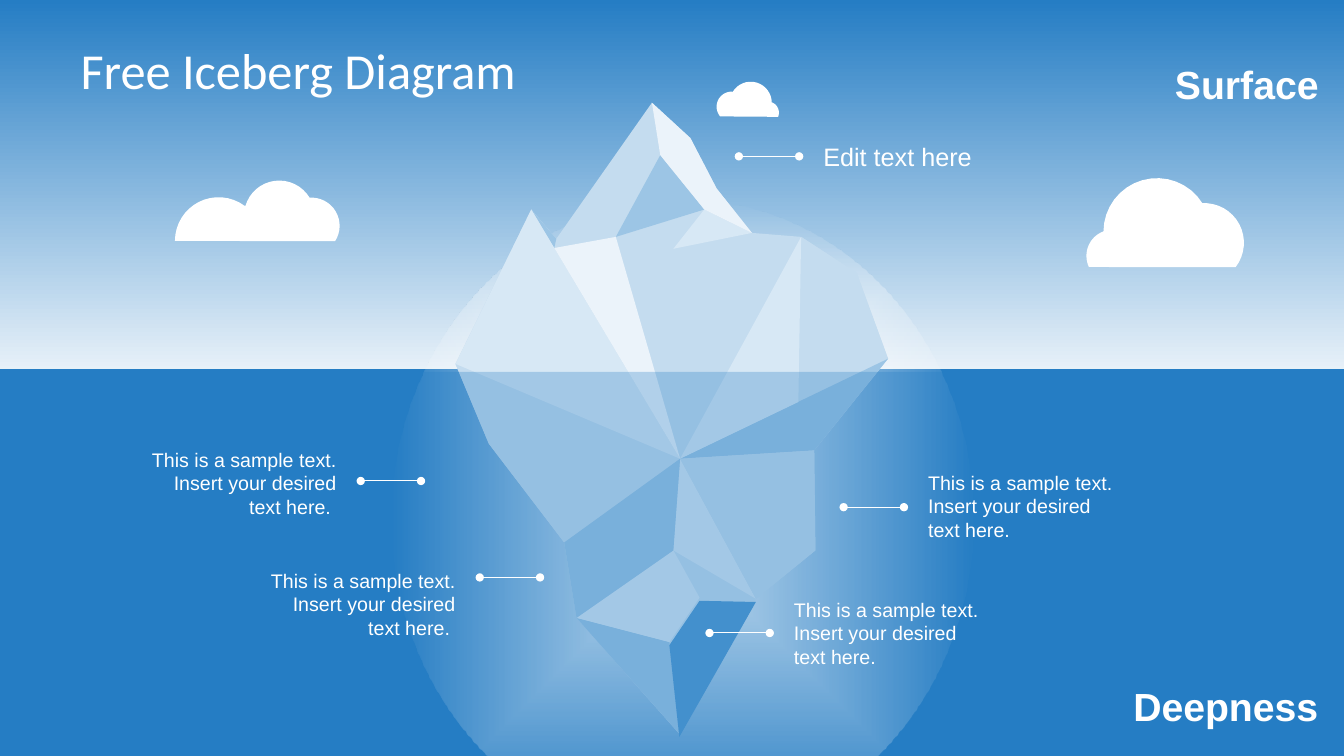
from dataclasses import dataclass
from math import cos, radians, sin

from pptx import Presentation
from pptx.dml.color import RGBColor
from pptx.enum.shapes import MSO_CONNECTOR as Link, MSO_SHAPE as Form
from pptx.enum.text import MSO_ANCHOR as Anchor, PP_ALIGN as Align
from pptx.oxml.ns import qn
from pptx.util import Cm, Pt
from lxml.etree import SubElement

WIDE, HIGH = 33.87, 19.05
WHITE, SEA = "FFFFFF", "257DC4"
MIST, PALE, SNOW, ICE, DEEP = "C4DCEF", "D7E8F5", "EBF3FA", "9CC5E5", "5098D1"
SAMPLE = "This is a sample text. Insert your desired text here."


@dataclass
class Arc:
    x: float
    y: float
    r: float
    start: float
    end: float


@dataclass
class Facet:
    color: str
    marks: str
    drop: float = 0


@dataclass
class Label:
    text: str
    x: float
    y: float
    w: float = 5.38
    h: float = 2.06
    size: int = 14
    right: bool = False
    bold: bool = False
    wrap: bool = True


CLOUDS = [
    [Arc(28.04, 6.45, 0.66, 205, 110), Arc(29.16, 5.84, 1.35, 180, 32),
     Arc(30.35, 6.12, 1, 94, -38)],
    [Arc(18.44, 2.69, 0.38, 220, 90), Arc(18.92, 2.59, 0.53, 149, 0),
     Arc(19.35, 2.84, 0.28, 68, -22)],
    [Arc(5.51, 6.07, 1.1, 180, 54), Arc(7.04, 5.44, 0.89, 164, 31),
     Arc(7.85, 5.69, 0.71, 94, -33)],
]

# Corners of the iceberg, in cm; the facets share them.
MARKS = {
    "peak": (16.43, 2.59), "crest": (17.4, 3.48), "ridge": (18.06, 4.75),
    "saddle": (18.95, 5.87), "shoulder": (20.19, 5.97), "slope": (21.59, 6.88),
    "east": (22.38, 9.04), "notch": (20.52, 11.35), "elbow": (20.55, 13.87),
    "heel": (19.05, 15.09), "tip": (17.12, 18.49), "hip": (14.53, 15.57),
    "waist": (14.22, 13.67), "flank": (12.32, 11.18), "west": (11.48, 9.17),
    "horn": (13.39, 5.28), "gap": (14.02, 6.02), "face": (20.12, 10.13),
    "brow": (17.75, 5.28), "nook": (16.97, 6.27), "nose": (16.64, 3.91),
    "neck": (15.52, 5.97), "dip": (13.97, 6.25), "core": (17.14, 11.56),
    "knee": (16.97, 13.87), "keel": (16.87, 16.18), "spur": (17.63, 15.06),
}

FACETS = [
    Facet(MIST, "peak crest ridge saddle shoulder slope east notch elbow "
                "heel tip hip waist flank west horn gap"),
    Facet(MIST, "shoulder slope east face"),
    Facet(PALE, "brow saddle nook"),
    Facet(ICE, "nose brow neck"),
    Facet(SNOW, "peak crest ridge saddle brow nose"),
    Facet(ICE, "horn gap dip"),
    Facet(ICE, "east notch core"),
    Facet(MIST, "west core waist flank"),
    Facet(ICE, "hip keel tip"),
    Facet(PALE, "core heel knee"),
    Facet(DEEP, "spur heel tip keel", 0.08),
    Facet(PALE, "horn core west"),
    Facet(MIST, "notch elbow heel core"),
    Facet(SNOW, "neck core dip"),
    Facet(PALE, "shoulder face core"),
    Facet(PALE, "knee spur keel hip"),
    Facet(ICE, "core knee hip waist"),
]

LABELS = [
    Label("Edit text here", 20.5, 3.43, 7.62, 1.02, 18),
    Label(SAMPLE, 19.76, 14.94),
    Label(SAMPLE + " ", 3.35, 11.15, right=True),
    Label(SAMPLE + " ", 6.35, 14.2, right=True),
    Label(SAMPLE, 23.14, 11.73),
    Label("Surface", 29.31, 1.4, 4.17, 1.45, 28, True, True, False),
    Label("Deepness", 28.24, 17.07, 5.23, 1.45, 28, True, True, False),
]

LINES = [(18.62, 3.94), (17.88, 15.95), (9.09, 12.12), (12.09, 14.55), (21.26, 12.78)]
REACH = 1.52


def rgb(code: str) -> RGBColor:
    return RGBColor.from_string(code)


def plain(shape, color: str) -> None:
    shape.shadow.inherit = False
    shape.line.fill.background()
    shape.fill.solid()
    shape.fill.fore_color.rgb = rgb(color)


def fade(shape, alpha: int) -> None:
    """Set the opacity, in percent, of the last colour in the fill."""
    tint = shape._element.xpath("./p:spPr//a:srgbClr")[-1]
    SubElement(tint, qn("a:alpha")).set("val", str(alpha * 1000))


def blend(fill, first: str, last: str, stop: float = 1) -> None:
    fill.gradient()
    fill.gradient_angle = 270
    for mark, color, place in zip(fill.gradient_stops, (first, last), (0, stop)):
        mark.color.rgb = rgb(color)
        mark.position = place


def block(slide, form: Form, x: float, y: float, w: float, h: float):
    shape = slide.shapes.add_shape(form, Cm(x), Cm(y), Cm(w), Cm(h))
    plain(shape, SEA)
    return shape


def glow(slide) -> None:
    halo = block(slide, Form.OVAL, 9.86, 5.03, 14.68, 16.08)
    blend(halo.fill, WHITE, WHITE)
    fade(halo, 0)
    lin = halo._element.xpath("./p:spPr/a:gradFill/a:lin")[0]
    grad = lin.getparent()
    grad.remove(lin)
    way = SubElement(grad, qn("a:path"))
    way.set("path", "shape")
    rect = SubElement(way, qn("a:fillToRect"))
    for side in "ltrb":
        rect.set(side, "50000")


def outline(slide, points: list, color: str) -> None:
    spots = [(Cm(x), Cm(y)) for x, y in points]
    path = slide.shapes.build_freeform(*spots[0])
    path.add_line_segments(spots[1:], close=True)
    plain(path.convert_to_shape(), color)


def bend(arc: Arc, steps: int = 16) -> list:
    """Give points along an arc, clockwise, with angles in degrees."""
    turns = [radians(arc.start + (arc.end - arc.start) * i / steps) for i in range(steps + 1)]
    return [(arc.x + arc.r * cos(t), arc.y - arc.r * sin(t)) for t in turns]


def style(para, size: int, font: str, bold: bool = False) -> None:
    for run in para.runs:
        run.font.size = Pt(size)
        run.font.name = font
        run.font.bold = bold
        run.font.color.rgb = rgb(WHITE)


def write(slide, label: Label) -> None:
    box = slide.shapes.add_textbox(Cm(label.x), Cm(label.y), Cm(label.w), Cm(label.h))
    frame = box.text_frame
    frame.word_wrap = label.wrap
    frame.text = label.text
    para = frame.paragraphs[0]
    para.alignment = Align.RIGHT if label.right else Align.LEFT
    style(para, label.size, "Arial", label.bold)


def pointer(slide, x: float, y: float) -> None:
    line = slide.shapes.add_connector(Link.STRAIGHT, Cm(x), Cm(y), Cm(x + REACH), Cm(y))
    line.line.color.rgb = rgb(WHITE)
    line.line.width = Pt(0.75)
    stroke = line.line._get_or_add_ln()
    for end in ("a:headEnd", "a:tailEnd"):
        SubElement(stroke, qn(end)).set("type", "oval")
    SubElement(line._element.spPr, qn("a:effectLst"))


def head(slide) -> None:
    title = slide.shapes.title
    title.left, title.top, title.width, title.height = Cm(1.7), Cm(0.76), Cm(30.48), Cm(1.98)
    frame = title.text_frame
    frame.text = "Free Iceberg Diagram"
    frame.vertical_anchor = Anchor.MIDDLE
    frame.margin_left = frame.margin_right = Cm(0.33)
    frame.margin_top = frame.margin_bottom = Cm(0.18)
    frame.paragraphs[0].alignment = Align.LEFT
    style(frame.paragraphs[0], 36, "Calibri")


def main() -> None:
    deck = Presentation()
    deck.slide_width, deck.slide_height = Cm(WIDE), Cm(HIGH)
    slide = deck.slides.add_slide(deck.slide_layouts[5])
    blend(slide.background.fill, SEA, WHITE, 0.55)
    head(slide)
    block(slide, Form.RECTANGLE, 0, 9.3, WIDE, HIGH - 9.3)
    glow(slide)
    for cloud in CLOUDS:
        outline(slide, [point for arc in cloud for point in bend(arc)], WHITE)
    for facet in FACETS:
        spots = [MARKS[mark] for mark in facet.marks.split()]
        outline(slide, [(x, y + facet.drop) for x, y in spots], facet.color)
    fade(block(slide, Form.RECTANGLE, 0, 9.37, WIDE, HIGH - 9.37), 29)
    for label in LABELS:
        write(slide, label)
    for x, y in LINES:
        pointer(slide, x, y)
    deck.save("out.pptx")


if __name__ == "__main__":
    main()
